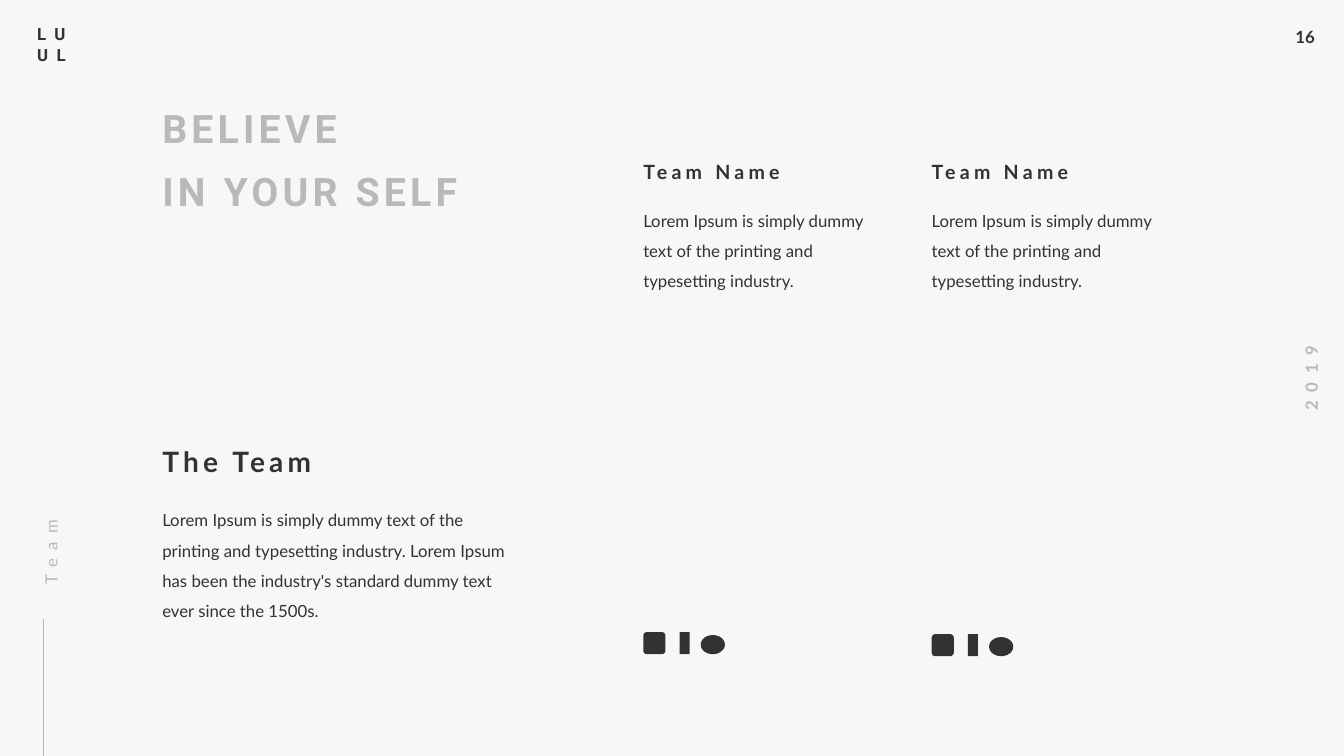
from lxml import etree
from pptx import Presentation
from pptx.dml.color import RGBColor
from pptx.enum import shapes, text
from pptx.oxml.ns import qn
from pptx.util import Inches, Pt

DARK, PALE, PAPER = "323232", "B9B9B9", "F7F7F7"
FLUSH = (0, 0, 0.1, 0)
PADDED = (0.1, 0.05, 0.1, 0.05)

# lines, (left, top, width, height), style
TEXTS = [
    (["16"], (12.75, 0.22, 0.41, 0.3),
     dict(bold=True, insets=PADDED, wrap=False)),
    (["2019"], (12.54, 3.6, 0.93, 0.3),
     dict(color=PALE, bold=True, tracking=6, insets=PADDED, wrap=False,
          rotation=270, align=text.PP_ALIGN.CENTER)),
    (["LU", "UL"], (0.27, 0.19, 0.59, 0.5),
     dict(font="Roboto", bold=True, tracking=6, insets=PADDED)),
    (["BELIEVE", "IN YOUR SELF"], (1.61, 1.03, 3.68, 1.11),
     dict(font="Roboto", size=28, color=PALE, bold=True, tracking=3, gap=12)),
    (["The Team"], (1.61, 4.41, 3.5, 0.34),
     dict(size=20, bold=True, tracking=3)),
    (["Lorem Ipsum is simply dummy text of the printing and typesetting "
      "industry. Lorem Ipsum has been the industry's standard dummy text "
      "ever since the 1500s."], (1.61, 4.96, 3.5, 1.17), dict(spacing=1.5)),
    (["Team"], (-0.49, 4.74, 1.85, 0.26),
     dict(color=PALE, tracking=6, spacing=1.5, rotation=270)),
]

# left, top of the icon row, name, description
MEMBERS = [
    (6.38, 6.27, "Team Name",
     "Lorem Ipsum is simply dummy text of the printing and typesetting industry."),
    (9.24, 6.29, "Team Name",
     "Lorem Ipsum is simply dummy text of the printing and typesetting industry."),
]

# preset, offset from the row's left and top, width, height
ICONS = [
    (shapes.MSO_SHAPE.ROUNDED_RECTANGLE, 0, 0, 0.22, 0.22),
    (shapes.MSO_SHAPE.RECTANGLE, 0.36, 0, 0.1, 0.22),
    (shapes.MSO_SHAPE.OVAL, 0.57, 0.03, 0.24, 0.19),
]


def rgb(value):
    return RGBColor.from_string(value)


def add_text(slide, lines, box, font="Lato", size=12, color=DARK, bold=False,
             tracking=0, spacing=None, gap=0, insets=FLUSH, wrap=True,
             rotation=0, align=text.PP_ALIGN.LEFT):
    shape = slide.shapes.add_textbox(*map(Inches, box))
    shape.rotation = rotation
    frame = shape.text_frame
    frame.word_wrap = wrap
    frame.auto_size = text.MSO_AUTO_SIZE.SHAPE_TO_FIT_TEXT
    (frame.margin_left, frame.margin_top,
     frame.margin_right, frame.margin_bottom) = map(Inches, insets)
    for index, line in enumerate(lines):
        paragraph = frame.add_paragraph() if index else frame.paragraphs[0]
        paragraph.alignment = align
        if spacing:
            paragraph.line_spacing = spacing
        if index and gap:
            paragraph.space_before = Pt(gap)
        run = paragraph.add_run()
        run.text = line
        run.font.name = font
        run.font.size = Pt(size)
        run.font.bold = bold
        run.font.color.rgb = rgb(color)
        if tracking:
            run.font._element.set("spc", str(tracking * 100))


def add_icons(slide, left, top):
    for preset, dx, dy, width, height in ICONS:
        icon = slide.shapes.add_shape(
            preset, *map(Inches, (left + dx, top + dy, width, height)))
        icon.shadow.inherit = False
        icon.fill.solid()
        icon.fill.fore_color.rgb = rgb(DARK)
        icon.line.fill.background()


def add_side_line(slide):
    line = slide.shapes.add_connector(
        shapes.MSO_CONNECTOR.STRAIGHT,
        *map(Inches, (0.43, 7.5, 0.43, 6.14)))
    line.line.color.rgb = rgb(PALE)
    line.line.width = Pt(0.5)
    etree.SubElement(line._element.spPr, qn("a:effectLst"))


def main():
    presentation = Presentation()
    presentation.slide_width = Inches(13.33)
    presentation.slide_height = Inches(7.5)
    slide = presentation.slides.add_slide(presentation.slide_layouts[6])
    slide.background.fill.solid()
    slide.background.fill.fore_color.rgb = rgb(PAPER)

    for lines, box, style in TEXTS:
        add_text(slide, lines, box, **style)
    for left, icons_top, name, description in MEMBERS:
        add_text(slide, [name], (left, 1.59, 2.11, 0.24),
                 size=14, bold=True, tracking=3)
        add_text(slide, [description], (left, 1.99, 2.35, 0.87), spacing=1.5)
        add_icons(slide, left, icons_top)
    add_side_line(slide)
    presentation.save("out.pptx")


if __name__ == "__main__":
    main()
